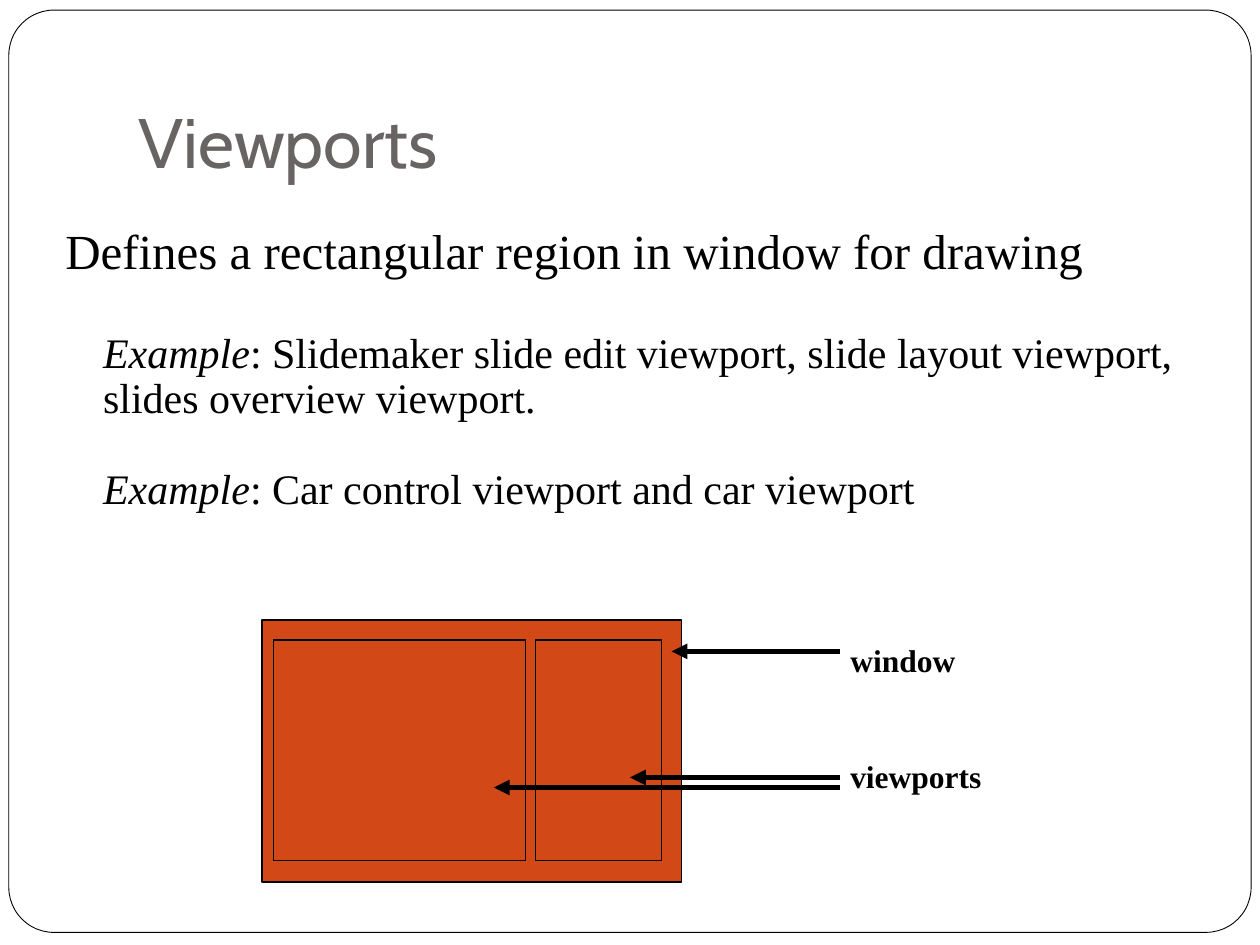
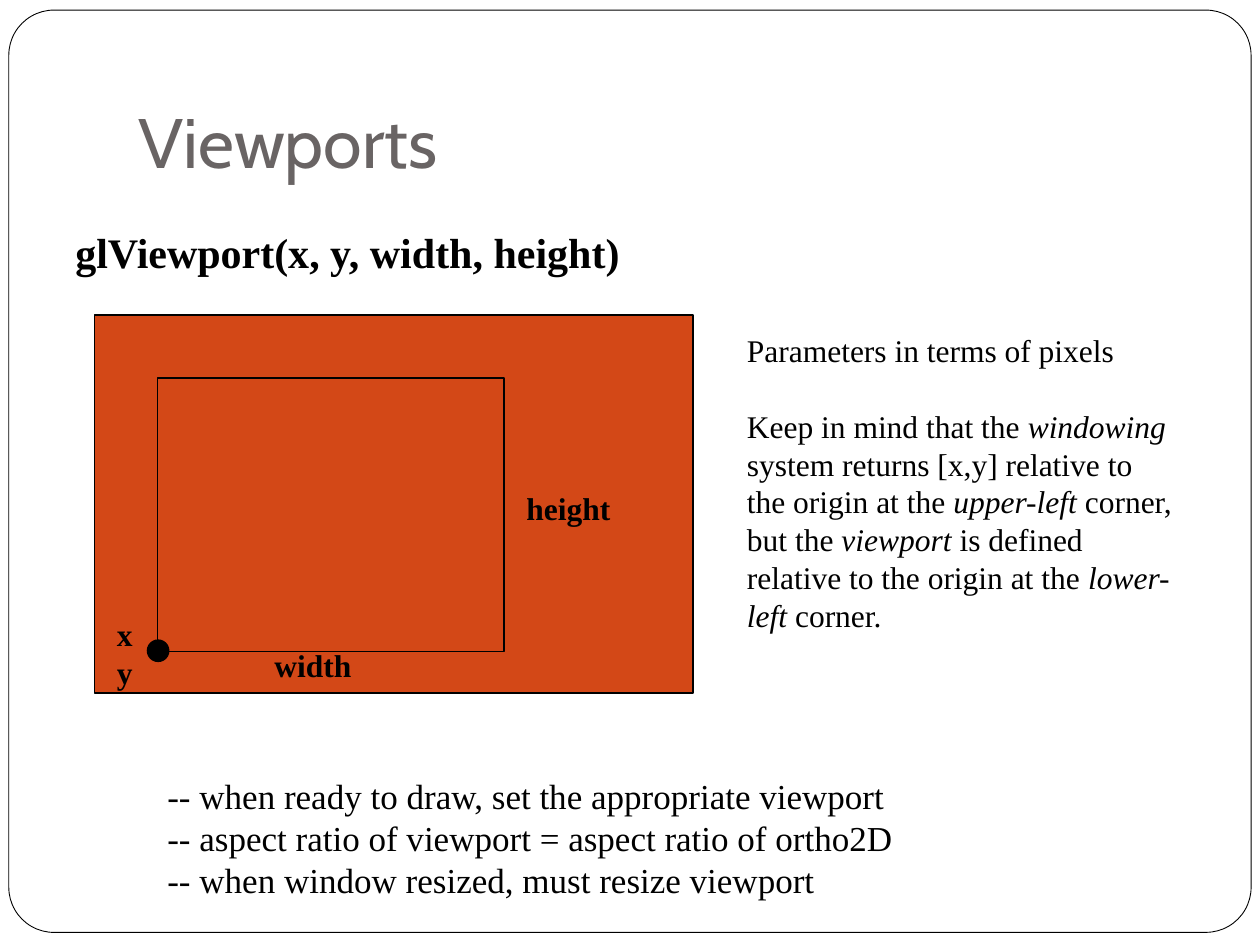
from dataclasses import dataclass

from lxml import etree
from pptx import Presentation
from pptx.dml.color import RGBColor
from pptx.enum.shapes import MSO_CONNECTOR, MSO_SHAPE
from pptx.enum.text import MSO_ANCHOR, MSO_AUTO_SIZE
from pptx.oxml.ns import qn
from pptx.util import Inches, Pt

RECTANGLE = MSO_SHAPE.RECTANGLE
ROUNDED = MSO_SHAPE.ROUNDED_RECTANGLE
OVAL = MSO_SHAPE.OVAL
STRAIGHT = MSO_CONNECTOR.STRAIGHT
BOTTOM = MSO_ANCHOR.BOTTOM
FIT_TEXT = MSO_AUTO_SIZE.SHAPE_TO_FIT_TEXT

BLACK = "000000"
WHITE = "FFFFFF"
ORANGE = "D34817"
GREY = "696464"
TITLE_FONT = "Cabin"
BODY_FONT = "Times New Roman"


@dataclass(frozen=True)
class Box:
    left: float
    top: float
    width: float
    height: float


@dataclass(frozen=True)
class Para:
    """One paragraph; parts between asterisks are italic."""
    text: str
    size: float = 18
    bold: bool = False
    before: float = 0
    spacing: float = 1.0
    margin: float = 0
    indent: float = 0
    font: str = BODY_FONT
    color: str = BLACK


@dataclass(frozen=True)
class Arrow:
    start_x: float
    end_x: float
    y: float


FRAME = Box(0.07, 0.08, 9.86, 7.32)
TITLE = Box(1, 0.3, 8.5, 1.25)


def rgb(color: str) -> RGBColor:
    return RGBColor.from_string(color)


def add_panel(slide, box: Box, kind=RECTANGLE, fill: str = ORANGE, line: float = 0.75):
    panel = slide.shapes.add_shape(kind, Inches(box.left), Inches(box.top),
                                   Inches(box.width), Inches(box.height))
    panel.shadow.inherit = False
    panel.fill.solid()
    panel.fill.fore_color.rgb = rgb(fill)
    panel.line.color.rgb = rgb(BLACK)
    panel.line.width = Pt(line)
    return panel


def add_text(slide, box: Box, paras: list[Para], wrap: bool = True, grow: bool = False):
    holder = slide.shapes.add_textbox(Inches(box.left), Inches(box.top),
                                      Inches(box.width), Inches(box.height))
    frame = holder.text_frame
    frame.word_wrap = wrap
    if grow:
        frame.auto_size = FIT_TEXT
    for index, para in enumerate(paras):
        paragraph = frame.add_paragraph() if index else frame.paragraphs[0]
        paragraph.space_before = Pt(para.before)
        paragraph.line_spacing = para.spacing
        properties = paragraph._p.get_or_add_pPr()
        properties.set("marL", str(Inches(para.margin)))
        properties.set("indent", str(Inches(para.indent)))
        for part, words in enumerate(para.text.split("*")):
            if not words:
                continue
            run = paragraph.add_run()
            run.text = words
            run.font.name = para.font
            run.font.size = Pt(para.size)
            run.font.bold = para.bold
            run.font.italic = part % 2 == 1
            run.font.color.rgb = rgb(para.color)
    return frame


def add_label(slide, box: Box, *lines: str) -> None:
    add_text(slide, box, [Para(line, bold=True) for line in lines], wrap=False, grow=True)


def add_arrow(slide, arrow: Arrow) -> None:
    line = slide.shapes.add_connector(STRAIGHT, Inches(arrow.start_x), Inches(arrow.y),
                                      Inches(arrow.end_x), Inches(arrow.y))
    line.line.color.rgb = rgb(BLACK)
    line.line.width = Pt(3)
    etree.SubElement(line.line._get_or_add_ln(), qn("a:tailEnd"), type="triangle")
    etree.SubElement(line._element.spPr, qn("a:effectLst"))


def add_slide(prs, title: str):
    """Blank slide with the shared rounded frame and title."""
    slide = prs.slides.add_slide(prs.slide_layouts[6])
    frame = add_panel(slide, FRAME, ROUNDED, WHITE, 0.5)
    frame.adjustments[0] = 0.049
    heading = add_text(slide, TITLE, [Para(title, 40, font=TITLE_FONT, color=GREY)])
    heading.vertical_anchor = BOTTOM
    heading.margin_bottom = Inches(0.1)
    return slide


def build_definition(prs) -> None:
    slide = add_slide(prs, "Viewports")
    add_text(slide, Box(0.42, 1.75, 9, 3), [
        Para("Defines a rectangular region in window for drawing", 28,
             before=5.8, spacing=0.9, margin=0.3, indent=-0.3),
        Para("*Example*: Slidemaker slide edit viewport, slide layout viewport, "
             "slides overview viewport.", 24, before=30, spacing=0.9, margin=0.3),
        Para("*Example*: Car control viewport and car viewport", 24,
             before=26, spacing=0.9, margin=0.3),
    ])

    # Window holding two viewports
    window = Box(2.08, 4.92, 3.33, 2.08)
    wide_viewport = Box(2.17, 5.08, 2, 1.75)
    narrow_viewport = Box(4.25, 5.08, 1, 1.75)
    for area in (window, wide_viewport, narrow_viewport):
        add_panel(slide, area)

    # Labels and their arrows
    add_label(slide, Box(6.65, 5.04, 1.12, 0.4), "window")
    add_label(slide, Box(6.65, 5.96, 1.37, 0.4), "viewports")
    for end_x, y in ((5.33, 5.17), (5, 6.17), (3.92, 6.25)):
        add_arrow(slide, Arrow(6.67, end_x, y))


def build_parameters(prs) -> None:
    slide = add_slide(prs, "Viewports")
    add_text(slide, Box(0.5, 1.75, 8.33, 0.75), [
        Para("glViewport(x, y, width, height)", 24, bold=True, margin=0.3, indent=-0.3)])

    # Viewport inside its window, with the origin marked
    window = Box(0.75, 2.5, 4.75, 3)
    viewport = Box(1.25, 3, 2.75, 2.17)
    for area in (window, viewport):
        add_panel(slide, area)
    add_label(slide, Box(0.83, 4.83, 0.34, 0.7), "x", "y")
    add_panel(slide, Box(1.17, 5.08, 0.17, 0.17), OVAL, BLACK)
    add_label(slide, Box(2.08, 5.08, 0.85, 0.4), "width")
    add_label(slide, Box(4.08, 3.83, 0.95, 0.4), "height")

    # Remarks on the parameters
    add_text(slide, Box(5.83, 2.58, 3.58, 2.8), [
        Para("Parameters in terms of pixels"),
        Para("Keep in mind that the *windowing *system returns [x,y] relative to "
             "the origin at the *upper-left* corner, but the *viewport* is defined "
             "relative to the origin at the *lower-left* corner.", before=21.6),
    ], grow=True)

    # Rules of use
    rules = ("-- when ready to draw, set the appropriate viewport",
             "-- aspect ratio of viewport = aspect ratio of ortho2D",
             "-- when window resized, must resize viewport")
    add_text(slide, Box(1.23, 6.1, 6.46, 1.1), [Para(rule, 20) for rule in rules],
             wrap=False, grow=True)


def main() -> None:
    prs = Presentation()
    prs.slide_width = Inches(10)
    prs.slide_height = Inches(7.5)
    build_definition(prs)
    build_parameters(prs)
    prs.save("out.pptx")


if __name__ == "__main__":
    main()
